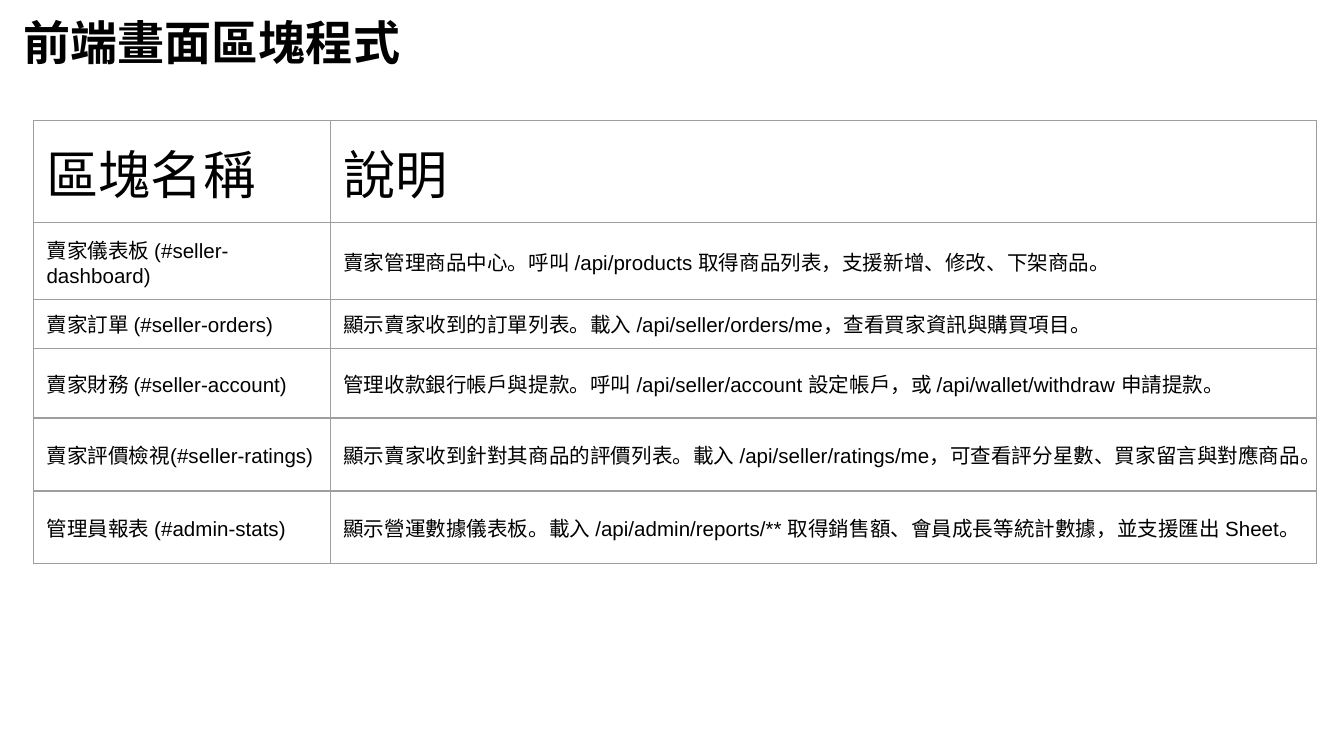
from lxml import etree
from pptx import Presentation
from pptx import util as u
from pptx.dml.color import RGBColor
from pptx.enum import text
from pptx.oxml import ns

COLORS = {"text": "000000", "border": "9E9E9E"}
FONT = "Arial"
PAD = u.Cm(0.25)

HEADER = ("區塊名稱", "說明")
BLOCKS = [
    ("賣家儀表板 (#seller-dashboard)",
     "賣家管理商品中心。呼叫 /api/products 取得商品列表，支援新增、修改、下架商品。"),
    ("賣家訂單 (#seller-orders)",
     "顯示賣家收到的訂單列表。載入 /api/seller/orders/me，查看買家資訊與購買項目。"),
    ("賣家財務 (#seller-account)",
     "管理收款銀行帳戶與提款。呼叫 /api/seller/account 設定帳戶，或 /api/wallet/withdraw 申請提款。"),
    ("賣家評價檢視(#seller-ratings)",
     "顯示賣家收到針對其商品的評價列表。載入 /api/seller/ratings/me，可查看評分星數、買家留言與對應商品。"),
    ("管理員報表 (#admin-stats)",
     "顯示營運數據儀表板。載入 /api/admin/reports/** 取得銷售額、會員成長等統計數據，並支援匯出 Sheet。"),
]
ROW_HEIGHTS = [1.93, 1.45, 0.92, 1.32, 1.38, 1.38]
NAME_WIDTH = u.Cm(5.61)


def write(tf, content, size, bold=False):
    tf.word_wrap = True
    r = tf.paragraphs[0].add_run()
    r.text = content
    r.font.name = FONT
    r.font.size = u.Pt(size)
    r.font.bold = bold
    r.font.color.rgb = RGBColor.from_string(COLORS["text"])


def set_borders(cell, color, width):
    tc_pr = cell._tc.get_or_add_tcPr()
    for i, side in enumerate(("lnL", "lnR", "lnT", "lnB")):
        ln = etree.Element(ns.qn(f"a:{side}"), w=str(u.Pt(width)))
        fill = etree.SubElement(ln, ns.qn("a:solidFill"))
        etree.SubElement(fill, ns.qn("a:srgbClr"), val=color)
        tc_pr.insert(i, ln)


def add_title(s, left, top, width, height):
    tf = s.shapes.add_textbox(left, top, width, height).text_frame
    tf.margin_left = tf.margin_right = tf.margin_top = tf.margin_bottom = PAD
    write(tf, "前端畫面區塊程式", size=25.2, bold=True)


def add_block_table(s, left, top, width):
    rows = [HEADER, *BLOCKS]
    height = u.Cm(sum(ROW_HEIGHTS))
    table = s.shapes.add_table(len(rows), len(HEADER), left, top, width, height).table
    table.first_row = table.horz_banding = False
    table.columns[0].width = NAME_WIDTH
    table.columns[1].width = width - NAME_WIDTH
    for i, (row, row_height) in enumerate(zip(rows, ROW_HEIGHTS)):
        table.rows[i].height = u.Cm(row_height)
        is_header = i == 0
        for j, content in enumerate(row):
            cell = table.cell(i, j)
            cell.fill.background()
            cell.margin_left = cell.margin_right = PAD
            cell.margin_top = cell.margin_bottom = PAD if is_header else u.Cm(0.13)
            cell.vertical_anchor = (text.MSO_ANCHOR.TOP if is_header
                                    else text.MSO_ANCHOR.MIDDLE)
            write(cell.text_frame, content, size=28 if is_header else 11)
            set_borders(cell, COLORS["border"], width=0.75)


def main():
    prs = Presentation()
    prs.slide_width, prs.slide_height = u.Cm(25.4), u.Cm(14.29)
    s = prs.slides.add_slide(prs.slide_layouts[6])
    add_title(s, u.Cm(0.2), u.Cm(0), u.Cm(7.8), u.Cm(1.35))
    add_block_table(s, u.Cm(0.63), u.Cm(2.28), u.Cm(24.25))
    prs.save("out.pptx")


if __name__ == "__main__":
    main()
